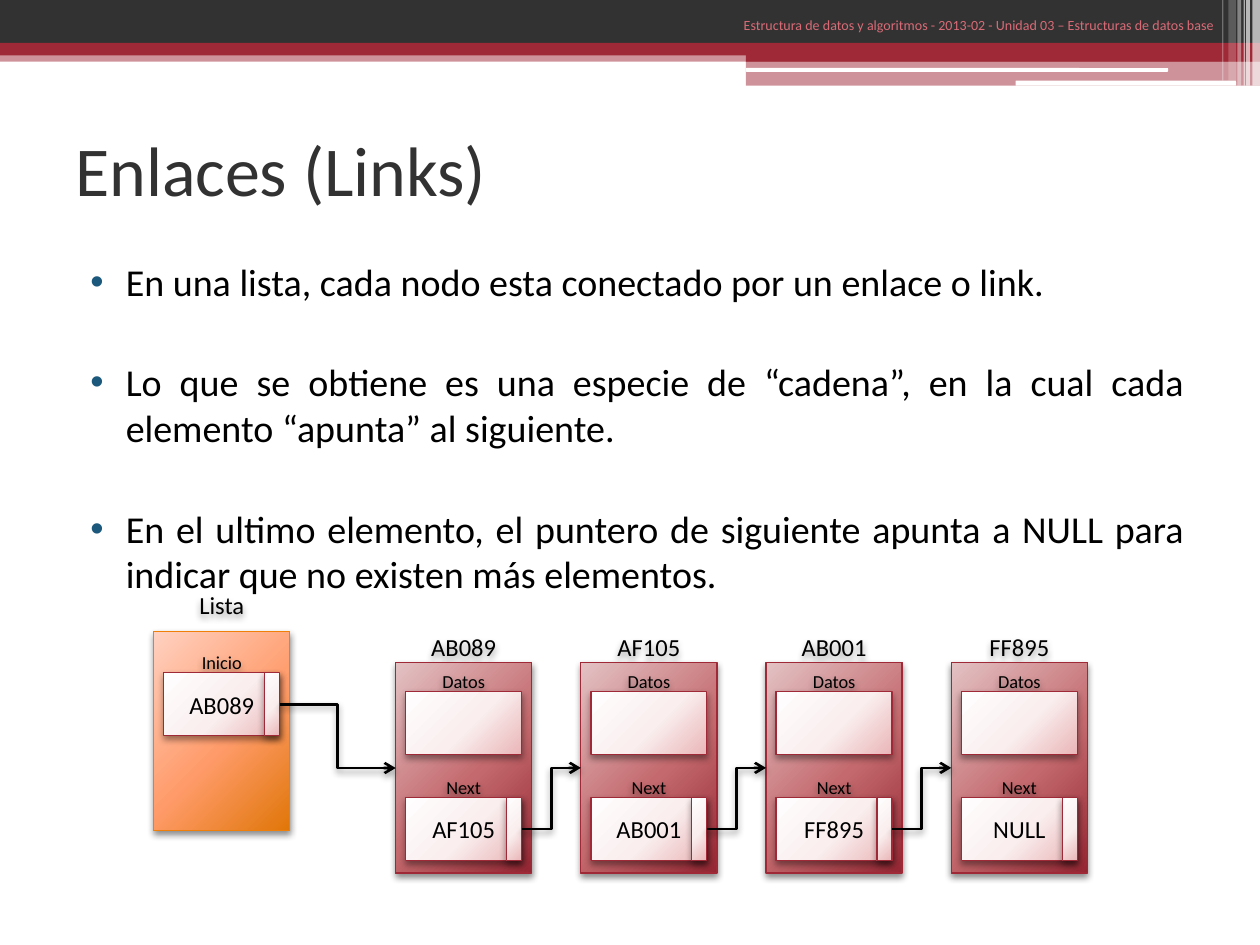
from pptx import Presentation
from pptx.dml.color import RGBColor
from pptx.enum.shapes import MSO_CONNECTOR, MSO_SHAPE
from pptx.enum.text import MSO_ANCHOR, PP_ALIGN
from pptx.oxml import parse_xml
from pptx.oxml.ns import nsdecls, qn
from pptx.util import Inches, Pt

RECTANGLE = MSO_SHAPE.RECTANGLE
ROUNDED = MSO_SHAPE.ROUNDED_RECTANGLE
ELBOW = MSO_CONNECTOR.ELBOW
MIDDLE, TOP = MSO_ANCHOR.MIDDLE, MSO_ANCHOR.TOP
LEFT, CENTER, RIGHT, JUSTIFY = PP_ALIGN.LEFT, PP_ALIGN.CENTER, PP_ALIGN.RIGHT, PP_ALIGN.JUSTIFY

COLORS = {
    "dark": "323232", "red": "9F2936", "white": "FFFFFF", "black": "000000",
    "bullet": "1B587C", "header": "D96B77", "orange": "F07F09",
}
GRADIENTS = {
    "node": ("E3C2C4", "C46A6E", "942632"),
    "cell": ("FFFEFE", "FAEEEE", "EAB6B8"),
    "list": ("FFD1C1", "FF9B6A", "E07608"),
}
FONT = "Calibri"
NODE_WIDTH, NODE_HEIGHT, NODE_PITCH = 1.08, 1.67, 1.47
CELL_WIDTH, CELL_HEIGHT, CELL_INSET = 0.92, 0.5, 0.08
SLOT_WIDTH = 0.12
LABEL_HEIGHT = 0.17


def rgb(name):
    return RGBColor.from_string(COLORS[name])


def add_shadow(shape, opacity=40):
    properties = shape._element.spPr
    for effects in properties.findall(qn("a:effectLst")):
        properties.remove(effects)
    properties.append(parse_xml(
        f'<a:effectLst {nsdecls("a")}><a:outerShdw blurRad="{Pt(4)}" dist="{Pt(2)}" '
        f'dir="5400000" rotWithShape="0"><a:srgbClr val="{COLORS["black"]}">'
        f'<a:alpha val="{opacity * 1000}"/></a:srgbClr></a:outerShdw></a:effectLst>'))


def write(shape, text, size, color="black", align=CENTER, anchor=MIDDLE, margin=0.0):
    frame = shape.text_frame
    frame.word_wrap = True
    frame.vertical_anchor = anchor
    frame.margin_left = frame.margin_right = Inches(margin)
    frame.margin_top = frame.margin_bottom = Inches(margin / 2)
    lines = [text] if isinstance(text, str) else text
    for index, line in enumerate(lines):
        paragraph = frame.paragraphs[0] if index == 0 else frame.add_paragraph()
        paragraph.text = line
        paragraph.alignment = align
        paragraph.font.name = FONT
        paragraph.font.size = Pt(size)
        paragraph.font.color.rgb = rgb(color)
    return frame


def add_text(slide, box, text, size, **options):
    shape = slide.shapes.add_textbox(*map(Inches, box))
    write(shape, text, size, **options)
    return shape


def add_label(slide, box, text, size):
    add_shadow(add_text(slide, box, text, size))


def add_band(slide, box, color, opacity=100, kind=RECTANGLE):
    shape = slide.shapes.add_shape(kind, *map(Inches, box))
    shape.shadow.inherit = False
    shape.fill.solid()
    shape.fill.fore_color.rgb = rgb(color)
    shape.line.fill.background()
    if opacity < 100:
        shape._element.spPr.find(".//" + qn("a:srgbClr")).append(
            parse_xml(f'<a:alpha {nsdecls("a")} val="{opacity * 1000}"/>'))


def add_gradient_box(slide, box, gradient, line="red", opacity=40):
    shape = slide.shapes.add_shape(RECTANGLE, *map(Inches, box))
    shape.line.color.rgb = rgb(line)
    shape.line.width = Pt(0.75)
    stops = "".join(
        f'<a:gs pos="{position * 1000}"><a:srgbClr val="{color}"/></a:gs>'
        for position, color in zip((0, 55, 100), GRADIENTS[gradient]))
    shape._element.spPr.insert(2, parse_xml(
        f'<a:gradFill {nsdecls("a")} rotWithShape="1"><a:gsLst>{stops}</a:gsLst>'
        '<a:path path="circle"><a:fillToRect l="-40000" t="-90000" r="140000" b="190000"/>'
        '</a:path></a:gradFill>'))
    add_shadow(shape, opacity)
    return shape


def add_pointer_cell(slide, left, top, label, target):
    add_label(slide, (left, top - LABEL_HEIGHT, CELL_WIDTH, LABEL_HEIGHT), label, 10.5)
    cell = add_gradient_box(slide, (left, top, CELL_WIDTH, CELL_HEIGHT), "cell")
    write(cell, target, 14)
    slot_left = left + CELL_WIDTH - SLOT_WIDTH
    add_gradient_box(slide, (slot_left, top, SLOT_WIDTH, CELL_HEIGHT), "cell")


def add_list_box(slide, left, top):
    add_label(slide, (left, top - 0.42, NODE_WIDTH, 0.42), "Lista", 14)
    add_gradient_box(slide, (left, top, NODE_WIDTH, 1.58), "list", "orange", 45)
    add_pointer_cell(slide, left + CELL_INSET, top + 0.33, "Inicio", "AB089")


def add_node(slide, left, top, name, target):
    cell_left = left + CELL_INSET
    add_label(slide, (left, top - 0.25, NODE_WIDTH, 0.25), name, 14)
    add_gradient_box(slide, (left, top, NODE_WIDTH, NODE_HEIGHT), "node", opacity=45)
    add_label(slide, (cell_left, top + 0.06, CELL_WIDTH, LABEL_HEIGHT), "Datos", 10.5)
    add_gradient_box(slide, (cell_left, top + 0.23, CELL_WIDTH, CELL_HEIGHT), "cell")
    add_pointer_cell(slide, cell_left, top + 1.07, "Next", target)


def add_link(slide, start, end):
    connector = slide.shapes.add_connector(ELBOW, *map(Inches, (*start, *end)))
    connector.line.color.rgb = rgb("black")
    connector.line.width = Pt(1.5)
    connector._element.spPr.find(qn("a:ln")).append(
        parse_xml(f'<a:tailEnd {nsdecls("a")} type="arrow"/>'))
    add_shadow(connector)


def add_diagram(slide, left, top):
    node_left, node_top = left + 1.92, top + 0.25
    entry_top = node_top + NODE_HEIGHT / 2
    pointer_right = CELL_INSET + CELL_WIDTH
    add_list_box(slide, left, top)
    names = ("AB089", "AF105", "AB001", "FF895", "NULL")
    sources = [(left + pointer_right, top + 0.58)]
    for index, (name, target) in enumerate(zip(names, names[1:])):
        x = node_left + index * NODE_PITCH
        add_node(slide, x, node_top, name, target)
        sources.append((x + pointer_right, node_top + 1.32))
    for index, source in enumerate(sources[:-1]):
        add_link(slide, source, (node_left + index * NODE_PITCH, entry_top))


def add_header(slide, width):
    half = 5.92
    add_band(slide, (0, 0.4, width, 0.09), "red", 50)
    add_band(slide, (0, 0, width, 0.34), "dark")
    add_band(slide, (0, 0.34, width, 0.1), "red")
    add_band(slide, (half, 0.39, width - half, 0.1), "red")
    add_band(slide, (half, 0.48, width - half, 0.2), "red", 50)
    add_band(slide, (half, 0.54, 3.35, 0.03), "white", kind=ROUNDED)
    add_band(slide, (8.06, 0.64, 1.75, 0.04), "white", kind=ROUNDED)
    stripes = (
        (9.94, 0.06, 0.68, 65), (9.89, 0.03, 0.68, 65), (9.87, 0.01, 0.68, 60),
        (9.82, 0.03, 0.68, 40), (9.75, 0.06, 0.64, 20), (9.7, 0.01, 0.64, 30),
    )
    for left, stripe_width, height, opacity in stripes:
        add_band(slide, (left, 0, stripe_width, height), "white", opacity)
    add_text(slide, (4.67, 0.08, 5.07, 0.25),
             "Estructura de datos y algoritmos - 2013-02 - Unidad 03 – Estructuras de datos base",
             8, color="header", align=RIGHT, anchor=TOP, margin=0.1)


def add_body(slide, box):
    lines = (
        "En una lista, cada nodo esta conectado por un enlace o link.",
        "Lo que se obtiene es una especie de “cadena”, en la cual cada elemento “apunta” al siguiente.",
        "En el ultimo elemento, el puntero de siguiente apunta a NULL para indicar que no existen más elementos.",
    )
    shape = add_text(slide, box, lines, 21.7, align=JUSTIFY, anchor=TOP, margin=0.1)
    for index, paragraph in enumerate(shape.text_frame.paragraphs):
        paragraph.space_before = Pt(31.5 if index else 3)
        properties = paragraph._p.get_or_add_pPr()
        properties.set("marL", str(Inches(0.4)))
        properties.set("indent", str(Inches(-0.28)))
        bullet = (
            f'<a:buClr {nsdecls("a")}><a:srgbClr val="{COLORS["bullet"]}"/></a:buClr>',
            f'<a:buFont {nsdecls("a")} typeface="Arial"/>',
            f'<a:buChar {nsdecls("a")} char="•"/>',
        )
        position = list(properties).index(properties.find(qn("a:defRPr")))
        for offset, element in enumerate(bullet):
            properties.insert(position + offset, parse_xml(element))


presentation = Presentation()
presentation.slide_width = Inches(10)
presentation.slide_height = Inches(7.5)
slide = presentation.slides.add_slide(presentation.slide_layouts[6])
add_header(slide, 10)
add_text(slide, (0.5, 0.75, 9, 1.17), "Enlaces (Links)", 40, color="dark", align=LEFT, margin=0.1)
add_body(slide, (0.5, 2, 9, 2.42))
add_diagram(slide, 1.22, 5.01)
presentation.save("out.pptx")
